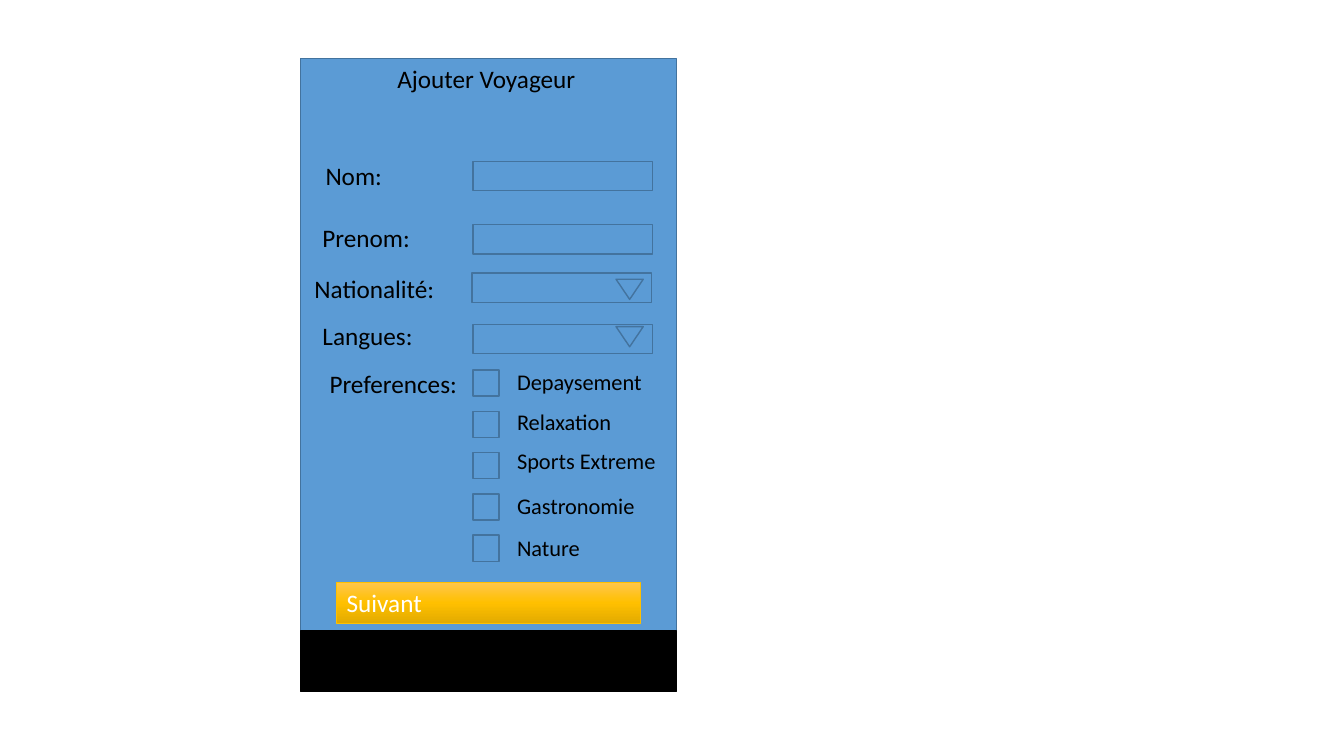
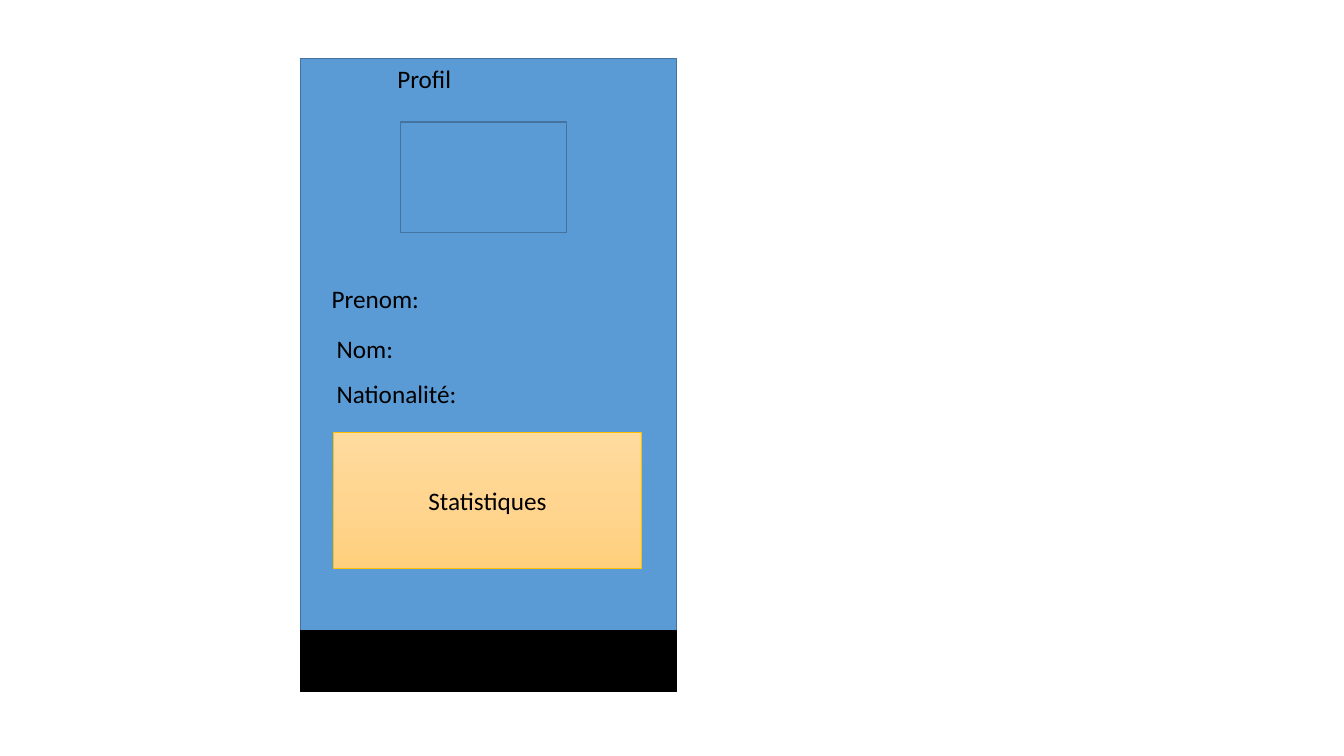
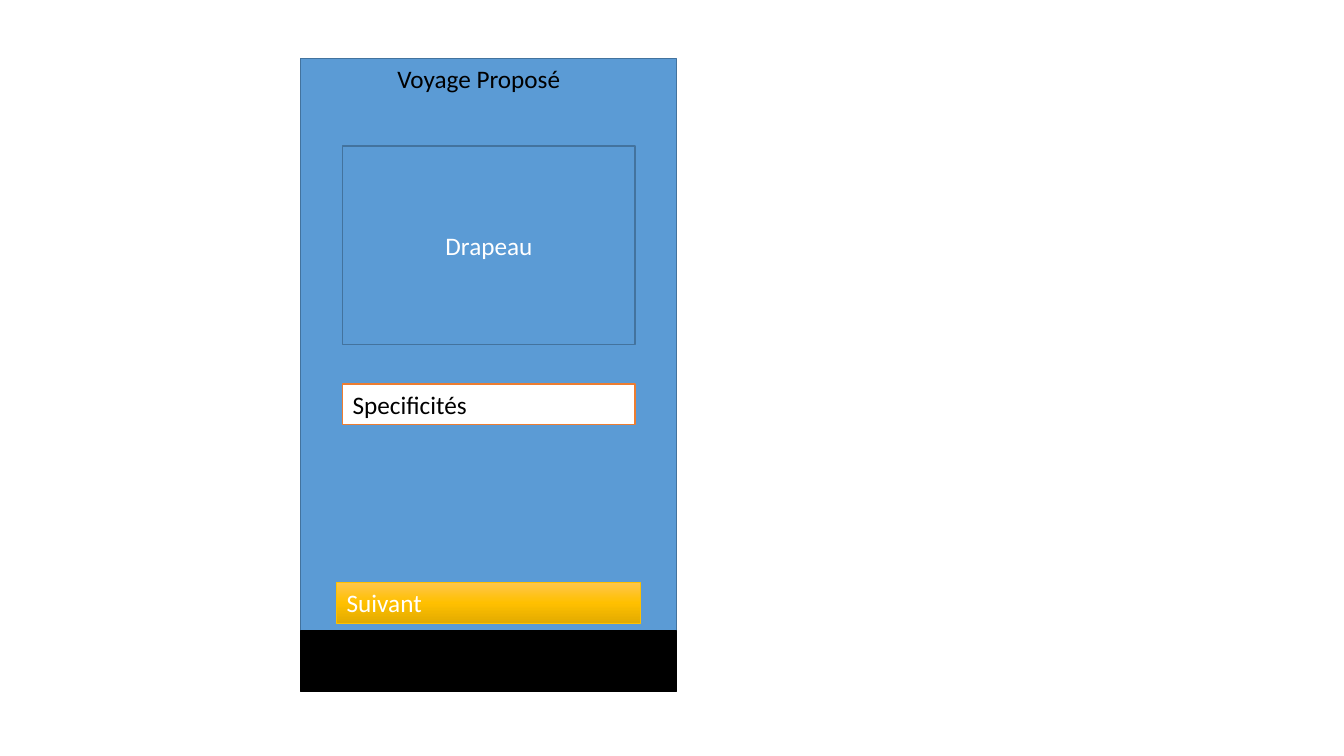
import copy
import pptx
import pptx.util
import pptx.dml.color
import pptx.enum.shapes
import pptx.enum.text

Inches = pptx.util.Inches
Pt = pptx.util.Pt
KIND = pptx.enum.shapes.MSO_SHAPE
ALIGN = pptx.enum.text.PP_ALIGN
ANCHOR = pptx.enum.text.MSO_ANCHOR
SIZING = pptx.enum.text.MSO_AUTO_SIZE

BLUE, EDGE = "5B9BD5", "43739E"
BLACK, WHITE = "000000", "FFFFFF"
GOLD, ORANGE = "FFC000", "ED7D31"
BRIGHT = ["FFC64B", "FFC000", "E3AB00"]
PALE = ["FFDB9E", "FFD590", "FFD07C"]


def color(code):
    return pptx.dml.color.RGBColor.from_string(code)


class Mockup:
    font = "Calibri"

    def __init__(self):
        self.deck = pptx.Presentation()
        self.deck.slide_width = Inches(13.33)
        self.deck.slide_height = Inches(7.5)
        self.slide = None

    def screen(self, title):
        self.slide = self.deck.slides.add_slide(self.deck.slide_layouts[5])
        self.box(2.98, 0.58, 3.73, 6.27)
        self.box(2.98, 6.26, 3.73, 0.6, BLACK, BLACK)
        head = self.slide.shapes.title
        self.slide.shapes.element.append(head.element)
        head.left, head.top = Inches(3.84), Inches(0.58)
        head.width, head.height = Inches(2.07), Inches(0.4)
        self.caption(head, title)

    def caption(self, shape, text, size=18, tint=BLACK, center=False):
        frame = shape.text_frame
        frame.text = text
        frame.word_wrap = True
        frame.auto_size = SIZING.NONE if center else SIZING.SHAPE_TO_FIT_TEXT
        frame.vertical_anchor = ANCHOR.MIDDLE if center else ANCHOR.TOP
        line = frame.paragraphs[0]
        line.alignment = ALIGN.CENTER if center else ALIGN.LEFT
        font = line.runs[0].font
        font.name, font.size = self.font, Pt(size)
        font.color.rgb = color(tint)

    def box(self, left, top, width, height, fill=BLUE, edge=EDGE,
            weight=1, kind=KIND.RECTANGLE):
        shape = self.slide.shapes.add_shape(
            kind, Inches(left), Inches(top), Inches(width), Inches(height))
        shape.shadow.inherit = False
        shape.fill.solid()
        shape.fill.fore_color.rgb = color(fill)
        shape.line.color.rgb = color(edge)
        shape.line.width = Pt(weight)
        return shape

    def panel(self, left, top, width, height, shades):
        shape = self.box(left, top, width, height, GOLD, GOLD, 0.5)
        shape.fill.gradient()
        shape.fill.gradient_angle = 270
        stops = shape.element.xpath(".//a:gsLst")[0]
        stops.insert(1, copy.deepcopy(stops[0]))
        for stop, shade, place in zip(shape.fill.gradient_stops, shades, (0, 0.5, 1)):
            stop.color.rgb = color(shade)
            stop.position = place
        return shape

    def label(self, text, left, top, width=1.68, size=18):
        height = 0.4 if size == 18 else 0.37
        shape = self.slide.shapes.add_textbox(
            Inches(left), Inches(top), Inches(width), Inches(height))
        self.caption(shape, text, size)

    def field(self, left, top):
        self.box(left, top, 1.78, 0.29)

    def menu(self, left, top, arrow):
        self.field(left, top)
        mark = self.box(6.11, arrow, 0.27, 0.2, kind=KIND.ISOSCELES_TRIANGLE)
        mark.rotation = 180

    def option(self, text, row, top):
        self.box(4.69, 3.67 + 0.41 * row, 0.26, 0.26)
        self.label(text, 5.03, top, 1.6, 16)

    def button(self):
        self.caption(self.panel(3.34, 5.78, 3.01, 0.4, BRIGHT), "Suivant", tint=WHITE)


def main():
    app = Mockup()

    app.screen("Ajouter Voyageur")
    for text, left, top in [
        ("Nom:", 3.13, 1.54),
        ("Prenom:", 3.1, 2.16),
        ("Nationalité:", 3.02, 2.66),
        ("Langues:", 3.1, 3.13),
        ("Preferences:", 3.17, 3.6),
    ]:
        app.label(text, left, top)
    app.field(4.69, 1.6)
    app.field(4.69, 2.23)
    app.menu(4.68, 2.71, 2.77)
    app.menu(4.69, 3.22, 3.24)
    for row, (text, top) in enumerate([
        ("Depaysement", 3.6),
        ("Relaxation", 4),
        ("Sports Extreme", 4.39),
        ("Gastronomie", 4.83),
        ("Nature", 5.25),
    ]):
        app.option(text, row, top)
    app.button()

    app.screen("Profil")
    app.box(3.97, 1.21, 1.65, 1.1)
    app.label("Prenom:", 3.19, 2.76)
    app.label("Nom:", 3.24, 3.26)
    app.label("Nationalité:", 3.24, 3.7)
    app.caption(app.panel(3.31, 4.29, 3.05, 1.35, PALE), "Statistiques", center=True)

    app.screen("Voyage Proposé")
    app.caption(app.box(3.4, 1.45, 2.9, 1.97), "Drapeau", tint=WHITE, center=True)
    app.caption(app.box(3.4, 3.81, 2.9, 0.4, WHITE, ORANGE), "Specificités")
    app.button()

    app.deck.save("out.pptx")


if __name__ == "__main__":
    main()
